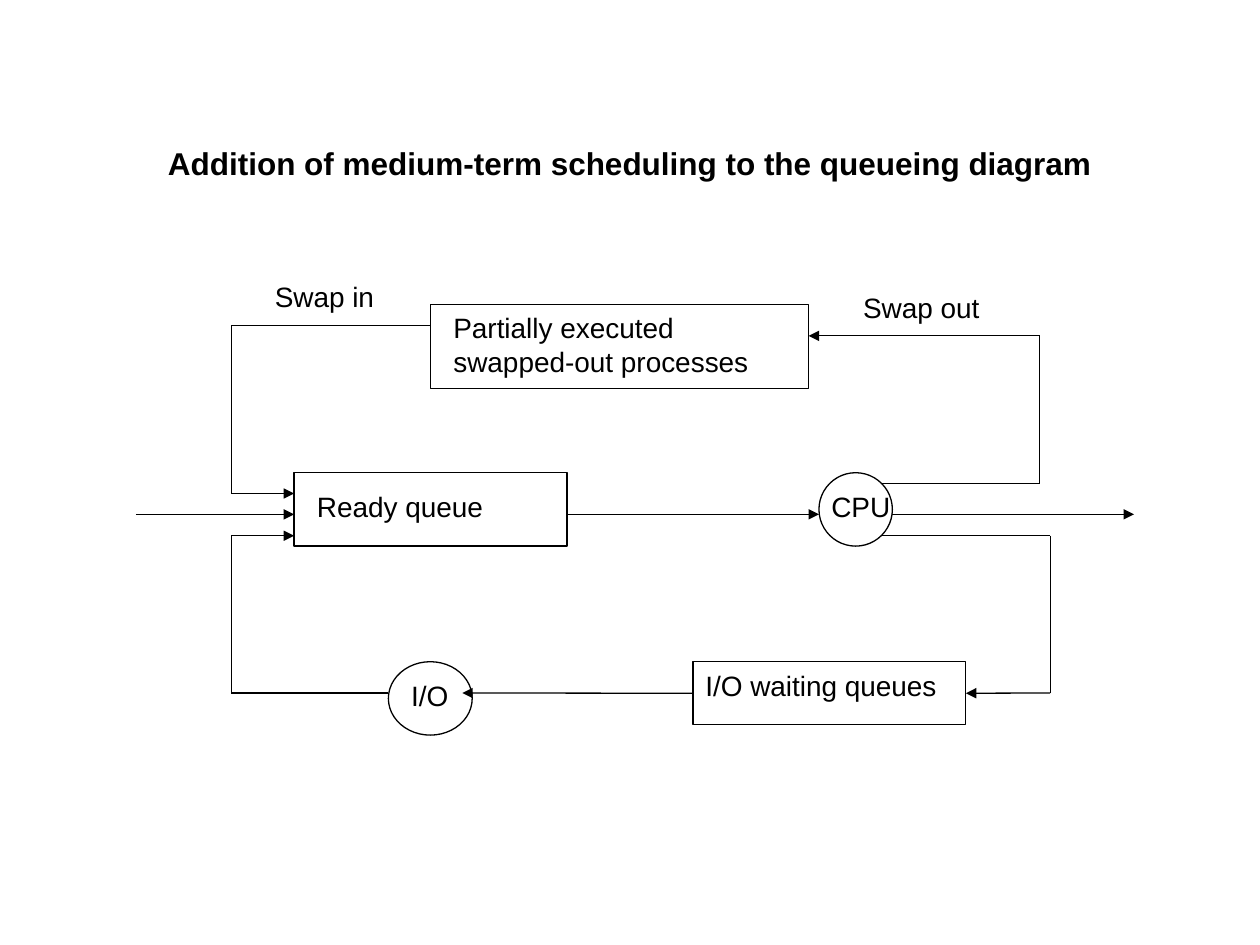
"""Builds a slide with the queueing diagram extended by medium-term scheduling."""
from itertools import pairwise

from lxml import etree
from pptx import Presentation
from pptx.dml.color import RGBColor
from pptx.enum.shapes import MSO_CONNECTOR, MSO_SHAPE
from pptx.enum.text import MSO_ANCHOR, PP_ALIGN
from pptx.oxml.ns import qn
from pptx.util import Cm, Pt

RECTANGLE, ELLIPSE = MSO_SHAPE.RECTANGLE, MSO_SHAPE.OVAL
STRAIGHT = MSO_CONNECTOR.STRAIGHT
LEFT, CENTER = PP_ALIGN.LEFT, PP_ALIGN.CENTER
TOP, MIDDLE = MSO_ANCHOR.TOP, MSO_ANCHOR.MIDDLE
LEFT_SIDE, RIGHT_SIDE = 1, 3

THEME = {
    "font": "Arial",
    "ink": RGBColor(0, 0, 0),
    "title": Pt(18),
    "label": Pt(16),
    "line": Pt(0.75),
}

TITLE = "Addition of medium-term scheduling to the queueing diagram"
TITLE_PLACE = (1.9, 1.69, 21.6, 3.18)

NODES = {
    "cpu": (ELLIPSE, (16.51, 9.53, 1.48, 1.48)),
    "ready": (RECTANGLE, (5.93, 9.53, 5.5, 1.48)),
    "io": (ELLIPSE, (7.83, 13.34, 1.69, 1.48)),
    "waiting": (RECTANGLE, (13.97, 13.34, 5.5, 1.27)),
    "swapped": (RECTANGLE, (8.68, 6.14, 7.62, 1.69)),
}

LABELS = [
    ("Partially executed swapped-out processes", (8.89, 6.14, 7.2, 1.63)),
    ("Ready queue", (6.14, 9.74, 5.08, 0.94)),
    ("CPU", (16.51, 9.74, 2.12, 0.94)),
    ("I/O", (8.04, 13.55, 1.27, 0.94)),
    ("I/O waiting queues", (13.97, 13.34, 5.72, 0.94)),
    ("Swap in", (5.29, 5.5, 3.18, 0.94)),
    ("Swap out", (17.15, 5.72, 3.39, 0.94)),
]

ROUTES = {
    "arrival": [(2.74, 10.37), (5.93, 10.37)],
    "dispatch": [(11.43, 10.37), (16.51, 10.37)],
    "exit": [(17.99, 10.37), (22.86, 10.37)],
    "io request": [(17.78, 10.8), (21.17, 10.8), (21.17, 13.97), (19.47, 13.97)],
    "io start": [(13.97, 13.97), (9.32, 13.97)],
    "io done": [(7.83, 13.97), (4.66, 13.97), (4.66, 10.8), (5.93, 10.8)],
    "swap out": [(17.78, 9.74), (20.96, 9.74), (20.96, 6.77), (16.3, 6.77)],
    "swap in": [(8.68, 6.56), (4.66, 6.56), (4.66, 9.95), (5.93, 9.95)],
}


def write_text(box, text, size, bold=False, align=LEFT, anchor=TOP):
    frame = box.text_frame
    frame.word_wrap = True
    frame.vertical_anchor = anchor
    frame.margin_left = frame.margin_right = Cm(0.25)
    frame.margin_top = frame.margin_bottom = Cm(0.13)
    para = frame.paragraphs[0]
    para.alignment = align
    span = para.add_run()
    span.text = text
    span.font.name = THEME["font"]
    span.font.size = size
    span.font.bold = bold
    span.font.color.rgb = THEME["ink"]


def style_line(line):
    line.color.rgb = THEME["ink"]
    line.width = THEME["line"]


def add_node(page, kind, place):
    node = page.shapes.add_shape(kind, *map(Cm, place))
    node.shadow.inherit = False
    node.fill.background()
    style_line(node.line)
    return node


def add_route(page, points):
    segments = []
    for start, end in pairwise(points):
        segment = page.shapes.add_connector(STRAIGHT, *map(Cm, start + end))
        style_line(segment.line)
        properties = segment.element.spPr
        etree.SubElement(properties, qn("a:effectLst"))
        segments.append(segment)
    outline = segments[-1].line._get_or_add_ln()
    etree.SubElement(outline, qn("a:tailEnd"), type="triangle")
    return segments


def main():
    deck = Presentation()
    deck.slide_width, deck.slide_height = Cm(25.4), Cm(19.05)
    page = deck.slides.add_slide(deck.slide_layouts[5])

    title = page.shapes.title
    title.left, title.top, title.width, title.height = map(Cm, TITLE_PLACE)
    write_text(title, TITLE, THEME["title"], bold=True, align=CENTER, anchor=MIDDLE)

    nodes = {name: add_node(page, *node) for name, node in NODES.items()}
    routes = {name: add_route(page, points) for name, points in ROUTES.items()}
    routes["io request"][-1].end_connect(nodes["waiting"], RIGHT_SIDE)
    routes["io start"][0].begin_connect(nodes["waiting"], LEFT_SIDE)

    for text, place in LABELS:
        box = page.shapes.add_textbox(*map(Cm, place))
        write_text(box, text, THEME["label"])

    deck.save("out.pptx")


if __name__ == "__main__":
    main()
